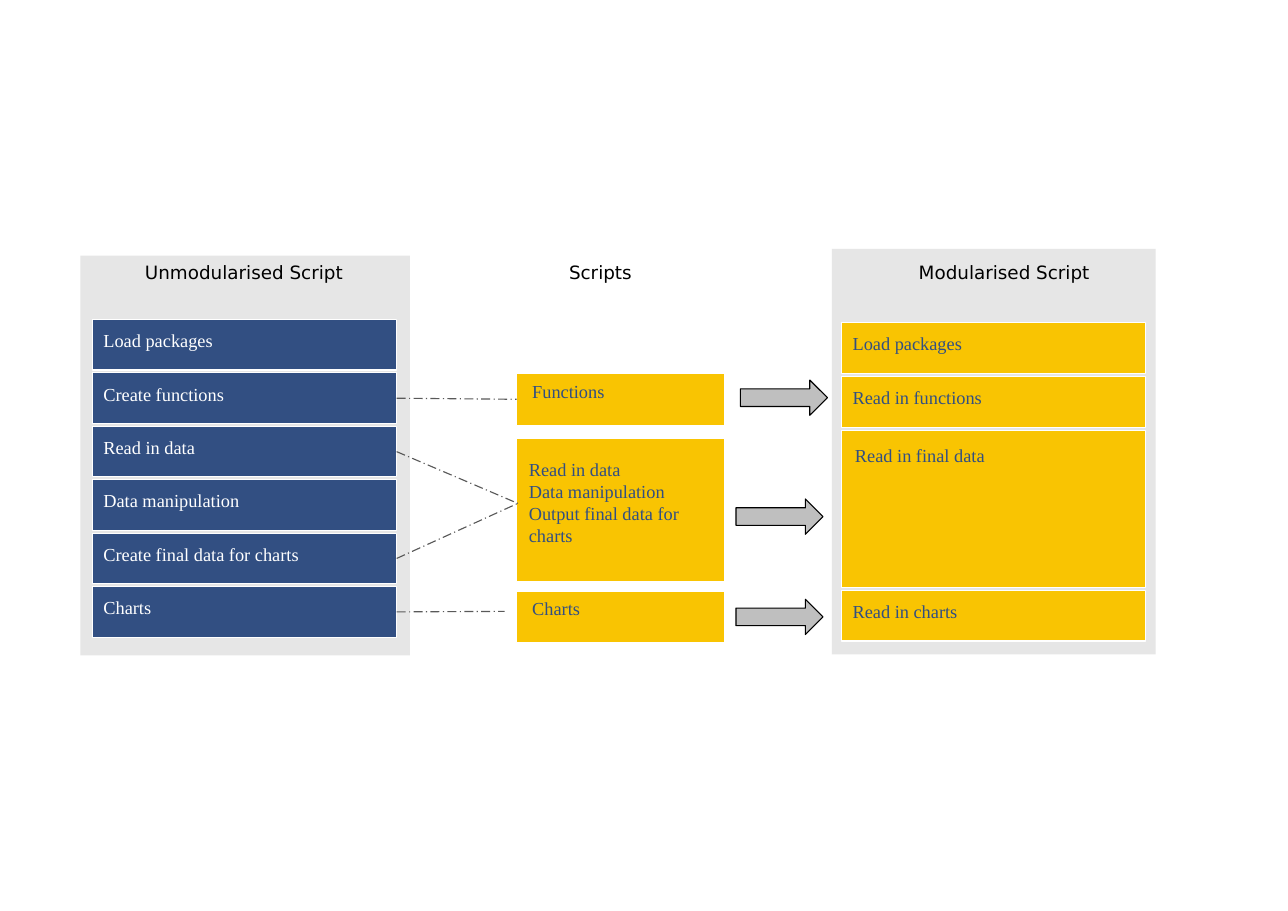
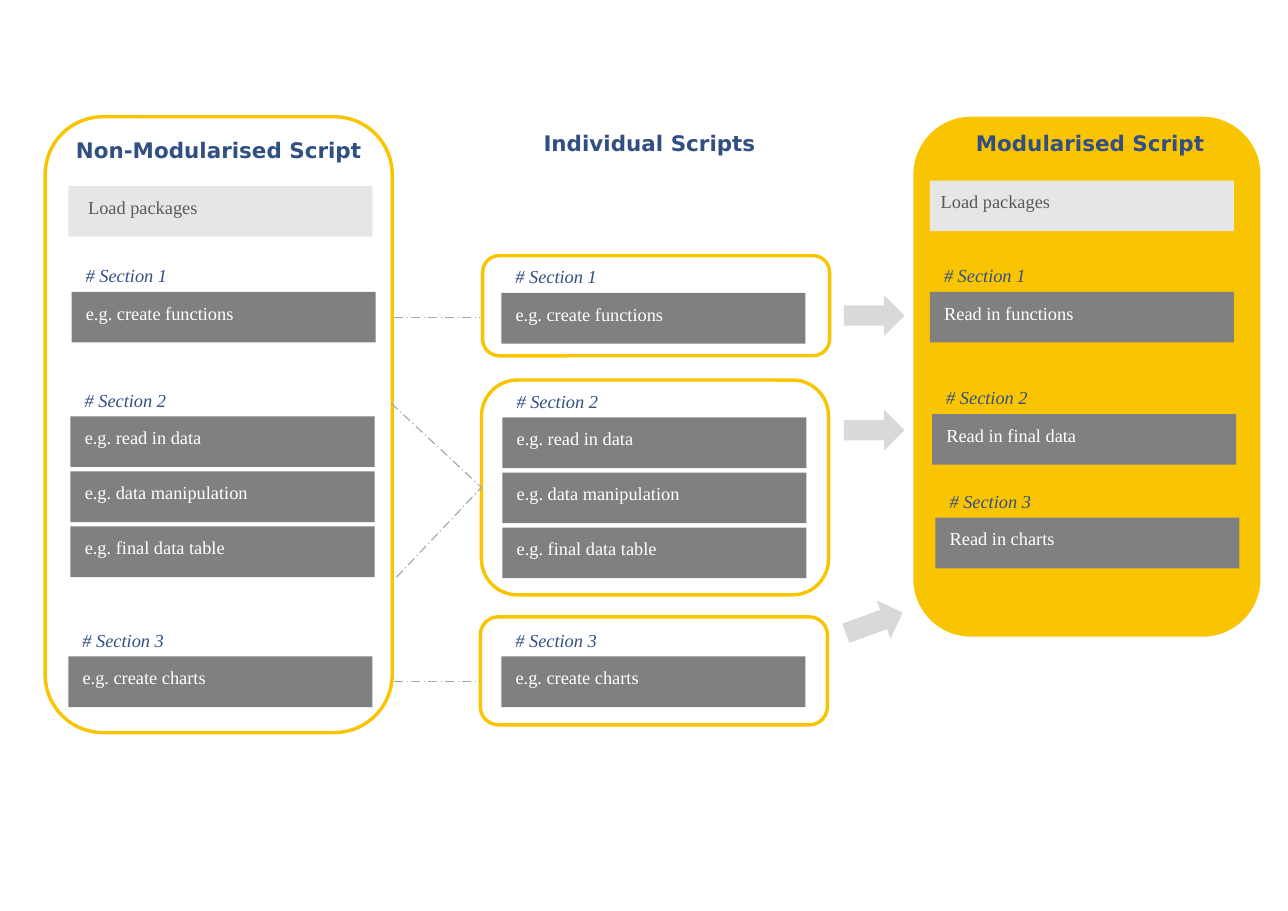
from pptx import Presentation
from pptx.dml.color import RGBColor
from pptx.enum.dml import MSO_LINE
from pptx.enum.shapes import MSO_CONNECTOR, MSO_SHAPE
from pptx.enum.text import MSO_ANCHOR, PP_ALIGN
from pptx.oxml.xmlchemy import OxmlElement
from pptx.util import Emu, Inches, Pt

# Every length is a count of square grid cells: 116.9 columns by 82.7 rows.
CELL = Inches(0.1)
COLUMNS, ROWS = 116.9, 82.7

COLOURS = {
    "yellow": "F9C402",
    "navy": "324F82",
    "white": "FFFFFF",
    "black": "000000",
    "pale": "E6E6E6",
    "mid": "808080",
    "charcoal": "595959",
    "silver": "A6A6A6",
    "arrow_dark": "BFBFBF",
    "arrow_light": "D9D9D9",
}
BODY_FONT, TITLE_FONT = "Times New Roman", "DejaVu Sans"
BAR_WIDTH, BAR_HEIGHT = 27.6, 4.6
FRAME_WIDTH = 31.5
SECTION_GAP = 0.4
LEFT_SIDE, RIGHT_SIDE = 1, 3


def cells(count):
    return Emu(round(count * CELL))


def colour(name):
    return RGBColor.from_string(COLOURS[name])


def write(box, lines, ink, inset=(1, 0.5), font=BODY_FONT, size=12,
          bold=False, italic=False, align=PP_ALIGN.LEFT):
    """Fill the box with one paragraph per line; inset is (left, top)."""
    frame = box.text_frame
    frame.word_wrap = True
    frame.vertical_anchor = MSO_ANCHOR.TOP
    frame.margin_left, frame.margin_top = cells(inset[0]), cells(inset[1])
    for index, line in enumerate(lines):
        para = frame.paragraphs[0] if index == 0 else frame.add_paragraph()
        para.alignment = align
        span = para.add_run()
        span.text = line
        span.font.name = font
        span.font.size = Pt(size)
        span.font.bold = bold
        span.font.italic = italic
        span.font.color.rgb = colour(ink)


def add_box(page, kind, area, fill=None, line=None, weight=0.75):
    box = page.shapes.add_shape(kind, *map(cells, area))
    box.shadow.inherit = False
    if fill:
        box.fill.solid()
        box.fill.fore_color.rgb = colour(fill)
    else:
        box.fill.background()
    if line:
        box.line.color.rgb = colour(line)
        box.line.width = Pt(weight)
    else:
        box.line.fill.background()
    return box


def add_bar(page, area, lines, fill, ink, inset=(1, 0.9), line=None):
    bar = add_box(page, MSO_SHAPE.RECTANGLE, area, fill, line)
    write(bar, lines, ink, inset)
    return bar


def add_frame(page, left, top, height, fill=None):
    """Rounded frame: yellow outline, or a plain fill."""
    area = (left, top, FRAME_WIDTH, height)
    return add_box(page, MSO_SHAPE.ROUNDED_RECTANGLE, area, fill,
                   None if fill else "yellow", 2.25)


def add_title(page, text, left, top, width, **style):
    box = page.shapes.add_textbox(*map(cells, (left, top, width, 3)))
    write(box, [text], font=TITLE_FONT, align=PP_ALIGN.CENTER, **style)


def add_section(page, left, top, number, labels):
    """Italic heading above a stack of grey bars; top is that of the first bar."""
    heading = page.shapes.add_textbox(
        *map(cells, (left + 0.3, top - 3, BAR_WIDTH, 3)))
    write(heading, [f"# Section {number}"], "navy", italic=True)
    for index, label in enumerate(labels):
        row = top + index * (BAR_HEIGHT + SECTION_GAP)
        add_bar(page, (left, row, BAR_WIDTH, BAR_HEIGHT), [label],
                "mid", "white", (1.3, 0.9))


def add_link(page, start, end, ink, source=None, target=None):
    """Dash-dot line, joined to the right of source and the left of target."""
    link = page.shapes.add_connector(
        MSO_CONNECTOR.STRAIGHT, *map(cells, (*start, *end)))
    if source:
        link.begin_connect(source, RIGHT_SIDE)
    if target:
        link.end_connect(target, LEFT_SIDE)
    link.line.color.rgb = colour(ink)
    link.line.width = Pt(0.75)
    link.line.dash_style = MSO_LINE.LONG_DASH_DOT
    link._element.spPr.append(OxmlElement("a:effectLst"))


def build_flow_page(page):
    for panel in ((75.5, 22.6, 29.4, 36.8), (7.3, 23.2, 29.9, 36.3)):
        add_box(page, MSO_SHAPE.RECTANGLE, panel, "pale")

    steps = {}
    labels = ("Load packages", "Create functions", "Read in data",
              "Data manipulation", "Create final data for charts", "Charts")
    for index, label in enumerate(labels):
        area = (8.4, 29 + index * 4.85, BAR_WIDTH, BAR_HEIGHT)
        steps[label] = add_bar(page, area, [label], "navy", "white",
                               line="white")

    scripts = [
        add_bar(page, (46.9, top, 18.9, height), lines, "yellow", "navy",
                inset, "white")
        for top, height, inset, lines in (
            (33.9, 4.7, (1.4, 0.6), ["Functions"]),
            (39.8, 13, (1.1, 1.8), ["Read in data", "Data manipulation",
                                    "Output final data for charts"]),
            (53.7, 4.6, (1.4, 0.5), ["Charts"]),
        )
    ]

    top = 29.3
    for label, height, inset in (
            ("Load packages", BAR_HEIGHT, (1, 0.9)),
            ("Read in functions", BAR_HEIGHT, (1, 0.9)),
            ("Read in final data", 14.2, (1.2, 1.2)),
            ("Read in charts", BAR_HEIGHT, (1, 0.9))):
        add_bar(page, (76.4, top, BAR_WIDTH, height), [label],
                "yellow", "navy", inset, "white")
        top += height + 0.3

    for text, left, width in (("Unmodularised Script", 11.5, 21.3),
                              ("Scripts", 48.2, 12.6),
                              ("Modularised Script", 80.5, 21.3)):
        add_title(page, text, left, 23.2, width, ink="black")

    for label, end, target in (
            ("Create functions", (47, 36.3), scripts[0]),
            ("Read in data", (47, 45.7), None),
            ("Create final data for charts", (47, 45.7), None),
            ("Charts", (45.8, 55.5), None)):
        add_link(page, (36, end[1]), end, "charcoal", steps[label], target)

    for left, top in ((67.2, 34.5), (66.8, 45.3), (66.8, 54.4)):
        add_box(page, MSO_SHAPE.RIGHT_ARROW, (left, top, 7.9, 3.2),
                "arrow_dark", "black")


def build_section_page(page):
    add_frame(page, 4.1, 10.6, 55.9)
    add_frame(page, 82.9, 10.6, 47.2, "yellow")
    add_frame(page, 43.8, 23.2, 9.1)
    data_frame = add_frame(page, 43.7, 34.5, 19.5)
    add_frame(page, 43.6, 56, 9.8)

    for left, top, indent in ((6.2, 16.9, 1.8), (84.4, 16.4, 1)):
        add_bar(page, (left, top, BAR_WIDTH, BAR_HEIGHT), ["Load packages"],
                "pale", "charcoal", (indent, 0.9))

    script_parts = (
        ["e.g. create functions"],
        ["e.g. read in data", "e.g. data manipulation",
         "e.g. final data table"],
        ["e.g. create charts"],
    )
    module_parts = (["Read in functions"], ["Read in final data"],
                    ["Read in charts"])
    for places, parts in (
            (((6.5, 26.5), (6.4, 37.8), (6.2, 59.6)), script_parts),
            (((45.5, 26.6), (45.6, 37.9), (45.5, 59.6)), script_parts),
            (((84.4, 26.5), (84.6, 37.6), (84.9, 47)), module_parts)):
        for number, (place, labels) in enumerate(zip(places, parts), 1):
            add_section(page, *place, number, labels)

    for text, left, top, width in (
            ("Non-Modularised Script", 5.7, 12, 28.3),
            ("Individual Scripts", 47.7, 11.3, 22.5),
            ("Modularised Script", 86.8, 11.3, 24.3)):
        add_title(page, text, left, top, width, ink="navy", size=14,
                  bold=True)

    for start, end, target in (
            ((35.8, 28.8), (43.5, 28.8), None),
            ((35.5, 36.6), (43.7, 44.2), data_frame),
            ((36, 52.4), (43.7, 44.2), data_frame),
            ((35.8, 61.9), (43.5, 61.9), None)):
        add_link(page, start, end, "silver", target=target)

    for top, angle in ((26.8, 0), (37.2, 0), (54.7, -20)):
        arrow = add_box(page, MSO_SHAPE.RIGHT_ARROW, (76.6, top, 5.5, 3.7),
                        "arrow_light")
        arrow.rotation = angle


def main():
    deck = Presentation()
    deck.slide_width, deck.slide_height = cells(COLUMNS), cells(ROWS)
    blank = deck.slide_layouts[6]
    for build in (build_flow_page, build_section_page):
        build(deck.slides.add_slide(blank))
    deck.save("out.pptx")


if __name__ == "__main__":
    main()
